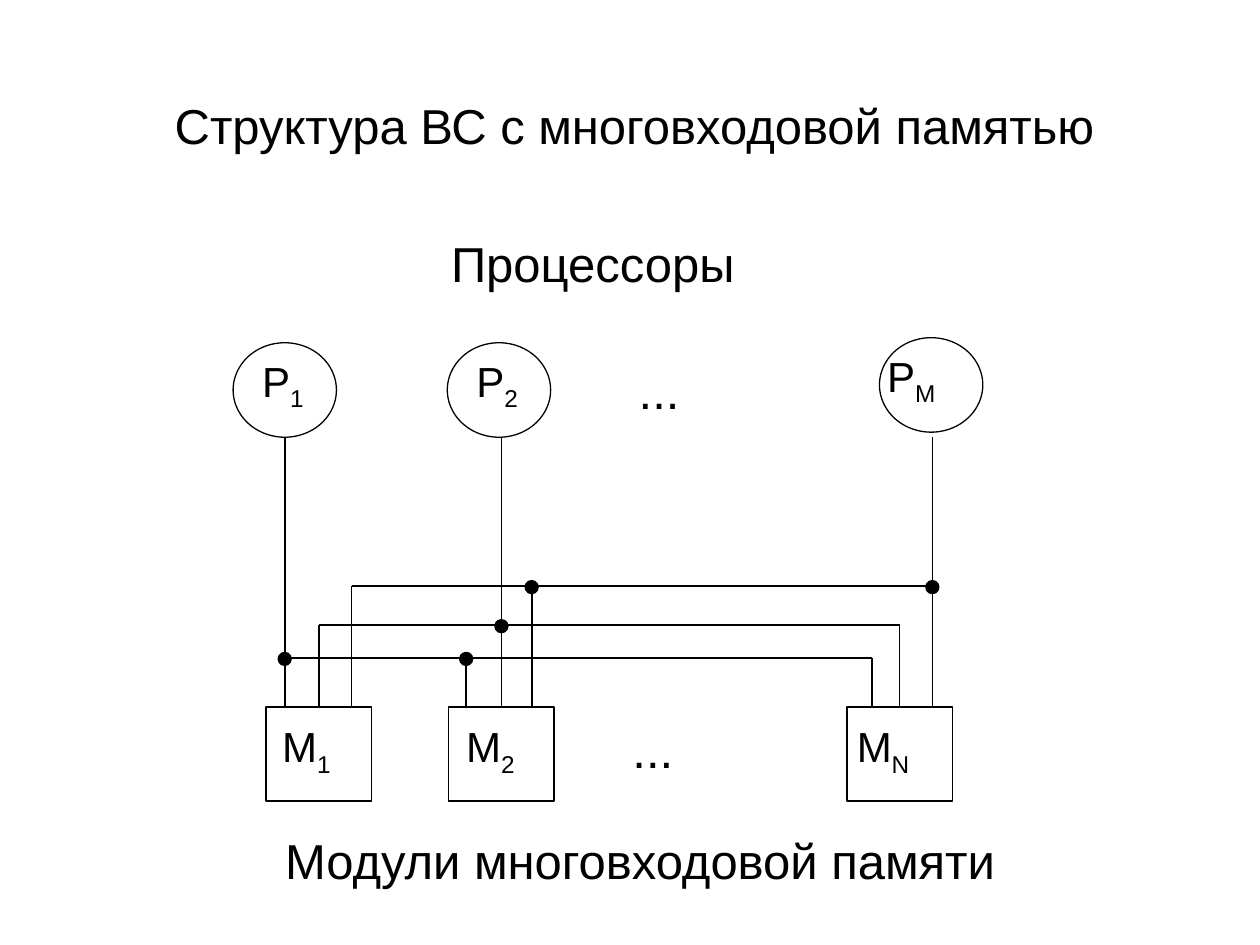
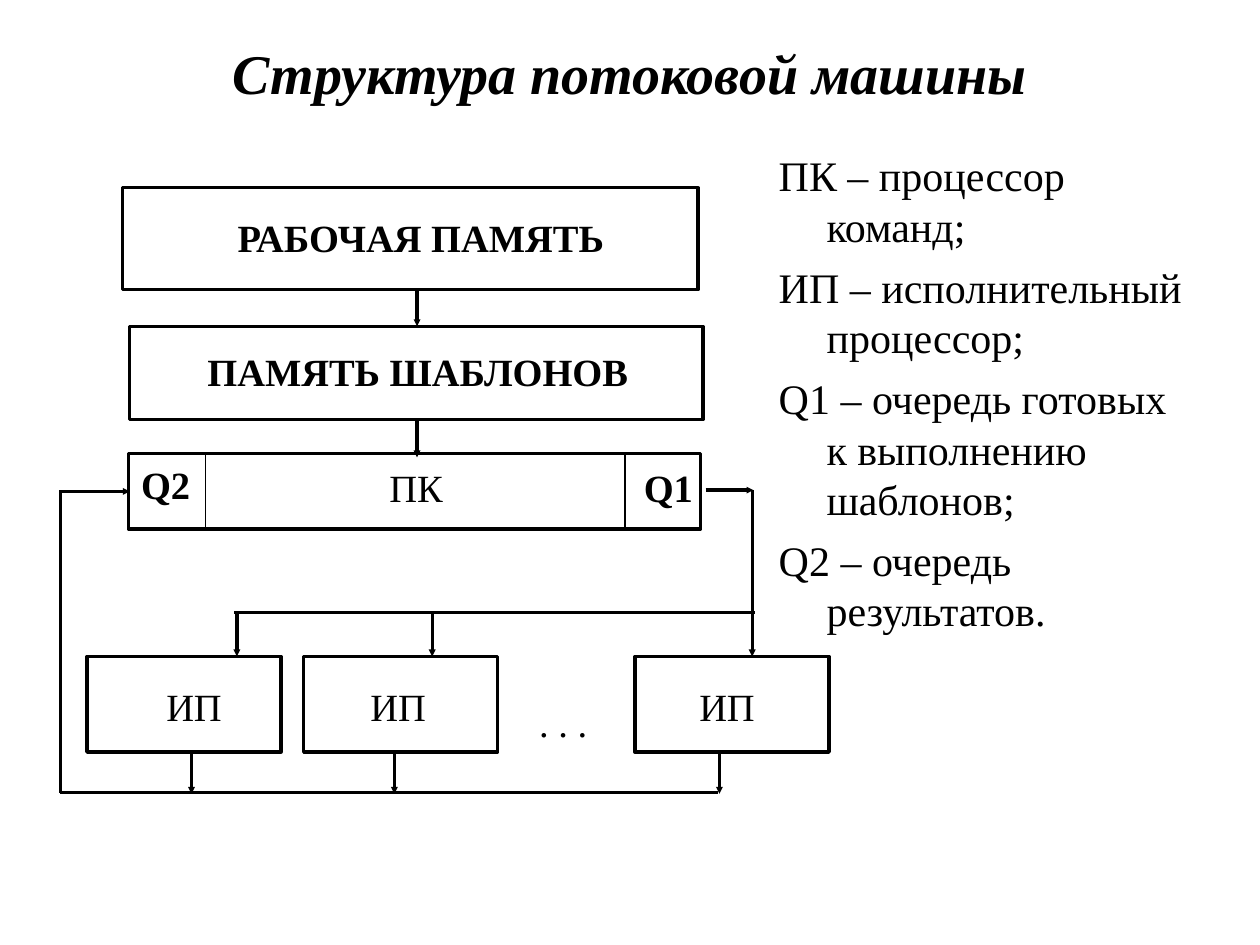
from lxml import etree
from pptx import Presentation
from pptx.dml.color import RGBColor
from pptx.enum.shapes import MSO_CONNECTOR, MSO_SHAPE
from pptx.enum.text import MSO_ANCHOR, MSO_AUTO_SIZE, PP_ALIGN
from pptx.oxml.ns import qn
from pptx.util import Inches, Pt

RECT, OVAL = MSO_SHAPE.RECTANGLE, MSO_SHAPE.OVAL
STRAIGHT = MSO_CONNECTOR.STRAIGHT
LEFT, CENTER = PP_ALIGN.LEFT, PP_ALIGN.CENTER
TOP, MIDDLE = MSO_ANCHOR.TOP, MSO_ANCHOR.MIDDLE
NO_FIT = MSO_AUTO_SIZE.NONE
TOP_SIDE, LEFT_SIDE = 0, 1
INK = "000000"
SANS, SERIF = "Arial", "Times New Roman"
THICK = 1.87


def color(hex_string):
    return RGBColor.from_string(hex_string)


def style_font(font, size, face, bold=False, italic=False):
    font.size = Pt(size)
    font.name = face
    font.bold = bold
    font.italic = italic
    font.color.rgb = color(INK)


def set_insets(frame, horizontal, vertical):
    frame.margin_left = frame.margin_right = Inches(horizontal)
    frame.margin_top = frame.margin_bottom = Inches(vertical)


def place(shape, box):
    shape.left, shape.top, shape.width, shape.height = map(Inches, box)


def add_label(slide, text, box, size, face, bold=False, align=LEFT,
              inset=0.01, subscript=""):
    frame = slide.shapes.add_textbox(*map(Inches, box)).text_frame
    frame.word_wrap = True
    set_insets(frame, inset, inset)
    paragraph = frame.paragraphs[0]
    paragraph.text = text
    paragraph.alignment = align
    if subscript:
        index = paragraph.add_run()
        index.text = subscript
        index._r.get_or_add_rPr().set("baseline", "-25000")
    for run in paragraph.runs:
        style_font(run.font, size, face, bold)


def add_short_label(slide, text, left, top, bold=False):
    add_label(slide, text, (left, top, 0.6, 0.37), 22, SERIF, bold, inset=0)


def add_outline(slide, kind, box, width, fill=None):
    shape = slide.shapes.add_shape(kind, *map(Inches, box))
    shape.shadow.inherit = False
    if fill:
        shape.fill.solid()
        shape.fill.fore_color.rgb = color(fill)
    else:
        shape.fill.background()
    shape.line.color.rgb = color(INK)
    shape.line.width = Pt(width)
    return shape


def add_line(slide, start, end, width, arrow=False, target=None, side=TOP_SIDE):
    line = slide.shapes.add_connector(STRAIGHT, *map(Inches, (*start, *end)))
    if target:
        line.end_connect(target, side)
    line.line.color.rgb = color(INK)
    line.line.width = Pt(width)
    if arrow:
        etree.SubElement(line.line._get_or_add_ln(), qn("a:tailEnd"),
                         type="triangle", w="sm", len="sm")
    etree.SubElement(line._element.spPr, qn("a:effectLst"))


def set_title(slide, text, box, size, face, anchor, emphasis=False):
    title = slide.shapes.title
    place(title, box)
    frame = title.text_frame
    frame.text = text
    frame.auto_size = NO_FIT
    frame.vertical_anchor = anchor
    set_insets(frame, 0.01, 0.01)
    frame.paragraphs[0].alignment = CENTER
    style_font(frame.paragraphs[0].runs[0].font, size, face, emphasis, emphasis)


def add_processor(slide, left, top, index, label_shift):
    add_outline(slide, OVAL, (left, top, 0.82, 0.75), 0.75)
    add_label(slide, "P", (left + label_shift, top + 0.09, 0.89, 0.65),
              24, SANS, subscript=index)


def add_module(slide, left, top, index, label_shift):
    add_label(slide, "M", (left + label_shift, top + 0.1, 0.9, 0.65),
              24, SANS, subscript=index)
    return add_outline(slide, RECT, (left, top, 0.84, 0.75), 1)


def add_memory_buses(slide, modules, taps, module_top, processor_bottom):
    levels = (5.22, 4.96, 4.65)
    for bus, level in enumerate(levels):
        add_line(slide, (taps[0][bus], level), (taps[-1][bus], level), 1)
    for row, (module, inputs) in enumerate(zip(modules, taps)):
        for bus, (x, level) in enumerate(zip(inputs, levels)):
            own = bus == row
            start = processor_bottom if own else level
            add_line(slide, (x, start), (x, module_top), 1,
                     target=module if bus == 1 else None)
            if own or row == 1:
                add_outline(slide, OVAL, (x - 0.05, level - 0.04, 0.1, 0.1),
                            1, INK)


def build_memory_slide(prs):
    slide = prs.slides.add_slide(prs.slide_layouts[5])
    set_title(slide, "Структура ВС с многовходовой памятью",
              (0.73, 0.75, 8.61, 0.75), 28, SANS, TOP)
    add_label(slide, "Процессоры", (3.57, 1.84, 3.04, 0.62), 28, SANS)
    for left, top, index, shift in ((1.85, 2.72, "1", 0.22),
                                    (3.55, 2.72, "2", 0.22),
                                    (6.98, 2.68, "M", 0.05)):
        add_processor(slide, left, top, index, shift)
    module_top = 5.61
    modules = [add_module(slide, left, module_top, index, shift)
               for left, index, shift in ((2.11, "1", 0.12),
                                          (3.56, "2", 0.13),
                                          (6.72, "N", 0.07))]
    taps = ((2.26, 2.53, 2.79), (3.7, 3.98, 4.22), (6.92, 7.14, 7.4))
    add_memory_buses(slide, modules, taps, module_top, 3.47)
    for left, top in ((5.06, 2.85), (5.01, 5.7)):
        add_label(slide, "...", (left, top, 1.17, 0.57), 28, SANS)
    add_label(slide, "Модули многовходовой памяти", (1.23, 6.58, 7.7, 0.5),
              28, SANS, align=CENTER)


def add_memory_block(slide, text, box, label_left, label_width):
    left, top, width, height = box
    add_outline(slide, RECT, box, THICK)
    add_label(slide, text, (label_left, top + height / 2 - 0.2, label_width, 0.37),
              22, SERIF, True, CENTER, 0)


def add_command_processor(slide, left, top):
    add_outline(slide, RECT, (left, top, 4.54, 0.6), THICK)
    results = add_outline(slide, RECT, (left + 0.01, top, 0.6, 0.6), 0.88)
    add_outline(slide, RECT, (left + 3.94, top, 0.6, 0.6), 0.88)
    for text, x, y, bold in (("Q2", 0.1, 0.06, True), ("ПК", 2.07, 0.08, False),
                             ("Q1", 4.09, 0.08, True)):
        add_short_label(slide, text, left + x, top + y, bold)
    return results


def add_executors(slide, top):
    return_y = top + 1.09
    for left, label_left, output_x in ((0.69, 1.32, 1.52), (2.41, 2.94, 3.13),
                                       (5.04, 5.55, 5.71)):
        add_outline(slide, RECT, (left, top, 1.54, 0.76), THICK)
        add_short_label(slide, "ИП", label_left, top + 0.21)
        add_line(slide, (output_x, top + 0.76), (output_x, return_y), THICK, True)
    add_short_label(slide, ". . .", 4.28, top + 0.34)


def add_flow(slide, results, executors_top):
    for top, bottom in ((2.3, 2.59), (3.33, 3.63)):
        add_line(slide, (3.31, top), (3.31, bottom), THICK, True)
    feed_y, return_y = 4.86, 6.29
    add_line(slide, (5.6, 3.89), (5.98, 3.89), THICK, True)
    add_line(slide, (5.97, 3.89), (5.97, executors_top), THICK, True)
    add_line(slide, (5.99, feed_y), (1.86, feed_y), THICK)
    for x in (1.88, 3.43):
        add_line(slide, (x, feed_y), (x, executors_top), THICK, True)
    add_line(slide, (5.7, return_y), (0.48, return_y), THICK)
    add_line(slide, (0.48, return_y), (0.48, 3.9), THICK)
    add_line(slide, (0.47, 3.9), (1.03, 3.9), THICK, True, results, LEFT_SIDE)


def fill_legend(slide, box):
    legend = slide.placeholders[1]
    place(legend, box)
    frame = legend.text_frame
    frame.auto_size = NO_FIT
    frame.word_wrap = True
    set_insets(frame, 0.1, 0.05)
    terms = ("ПК – процессор команд;", "ИП – исполнительный процессор;",
             "Q1 – очередь готовых\nк выполнению шаблонов;",
             "Q2 – очередь результатов.")
    for number, term in enumerate(terms):
        paragraph = frame.add_paragraph() if number else frame.paragraphs[0]
        paragraph.text = term
        properties = paragraph._p.get_or_add_pPr()
        properties.set("marL", str(Inches(0.38)))
        properties.set("indent", str(Inches(-0.38)))
        etree.SubElement(properties, qn("a:buNone"))
        paragraph.space_before = Pt(6 if number else 0)
        for run in paragraph.runs:
            style_font(run.font, 24, SERIF)


def build_dataflow_slide(prs):
    slide = prs.slides.add_slide(prs.slide_layouts[1])
    set_title(slide, "Структура потоковой машины", (0.5, 0.3, 9, 0.55),
              32, SERIF, MIDDLE, True)
    add_memory_block(slide, "РАБОЧАЯ ПАМЯТЬ", (0.97, 1.49, 4.57, 0.81), 1.42, 3.84)
    add_memory_block(slide, "ПАМЯТЬ ШАБЛОНОВ", (1.03, 2.59, 4.55, 0.74), 1.42, 3.79)
    results = add_command_processor(slide, 1.02, 3.6)
    executors_top = 5.21
    add_executors(slide, executors_top)
    add_flow(slide, results, executors_top)
    fill_legend(slide, (6.08, 1.14, 3.59, 4.86))


def main():
    prs = Presentation()
    prs.slide_width, prs.slide_height = Inches(10), Inches(7.5)
    build_memory_slide(prs)
    build_dataflow_slide(prs)
    prs.save("out.pptx")


if __name__ == "__main__":
    main()
